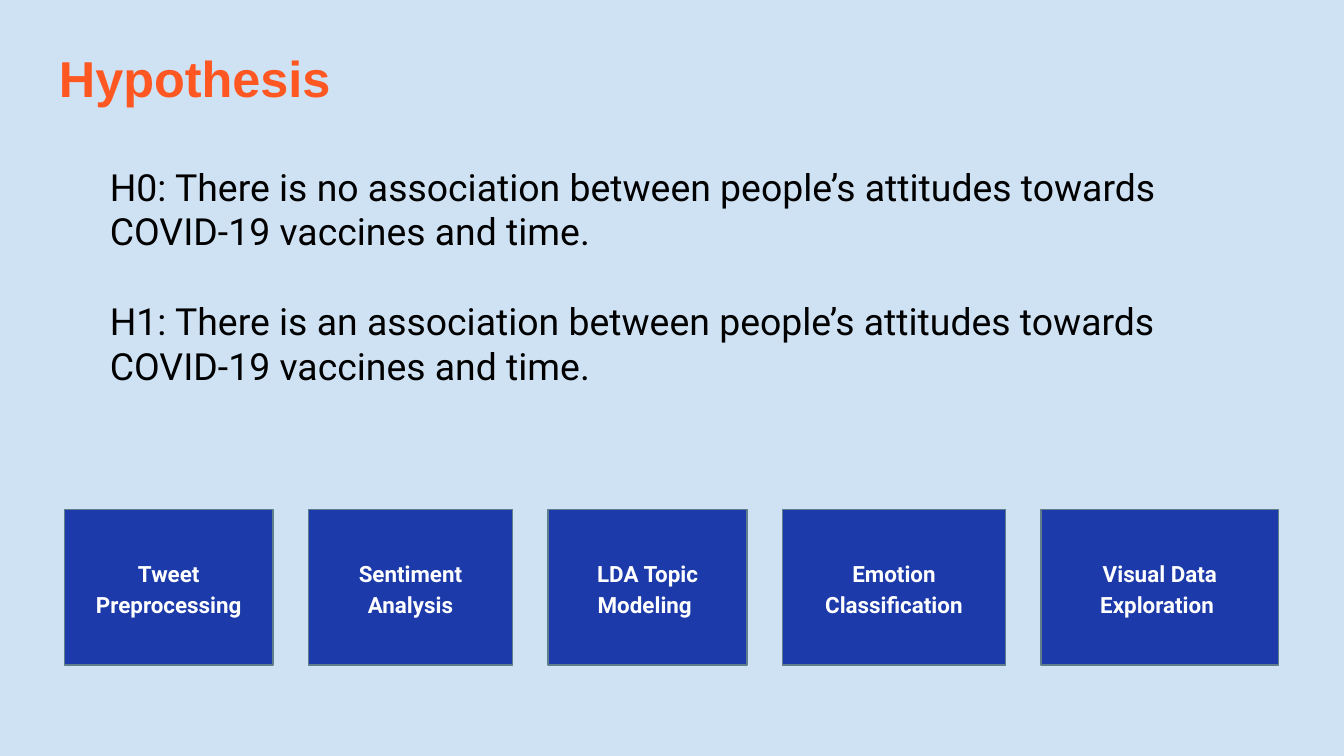
from dataclasses import dataclass

from pptx import Presentation
from pptx.dml.color import RGBColor
from pptx.enum.shapes import MSO_SHAPE
from pptx.enum.text import MSO_ANCHOR, PP_ALIGN
from pptx.util import Pt

RECT = MSO_SHAPE.RECTANGLE
TOP, MIDDLE = MSO_ANCHOR.TOP, MSO_ANCHOR.MIDDLE
LEFT, CENTER = PP_ALIGN.LEFT, PP_ALIGN.CENTER
COLORS = {
    "back": "CFE2F3",
    "title": "FF5722",
    "body": "000000",
    "box": "1C3AA9",
    "edge": "607D8B",
    "label": "FFFFFF",
}
BOX_LEFT, BOX_TOP, BOX_HIGH, BOX_GAP = 34.6, 272.9, 83.5, 19


@dataclass
class Step:
    label: str
    width: float


STEPS = [
    Step("Tweet Preprocessing", 111.6),
    Step("Sentiment Analysis", 109.4),
    Step("LDA Topic Modeling ", 106.6),
    Step("Emotion Classification", 119.5),
    Step("Visual Data Exploration ", 127.4),
]
CLAIMS = [
    "H0: There is no association between people’s attitudes towards COVID-19 vaccines and time.",
    "H1: There is an association between people’s attitudes towards COVID-19 vaccines and time.",
]


def color(name: str) -> RGBColor:
    """Look up a named colour."""
    return RGBColor.from_string(COLORS[name])


def write(shape, *lines: str, size: float, hue: str, font: str = "Roboto",
          bold: bool = False, align=LEFT, anchor=TOP,
          pitch: float = 1.0, gap: float = 0) -> None:
    """Fill a shape with formatted paragraphs."""
    frame = shape.text_frame
    frame.word_wrap = True
    frame.vertical_anchor = anchor
    frame.margin_left = frame.margin_right = Pt(7.2)
    frame.margin_top = frame.margin_bottom = Pt(7.2)
    for index, line in enumerate(lines):
        para = frame.add_paragraph() if index else frame.paragraphs[0]
        para.alignment = align
        para.line_spacing = pitch
        if index:
            para.space_before = Pt(gap)
        run = para.add_run()
        run.text = line
        run.font.size = Pt(size)
        run.font.name = font
        run.font.bold = bold
        run.font.color.rgb = color(hue)


def draw_step(slide, step: Step, left: float) -> None:
    """Draw one labelled step box."""
    box = slide.shapes.add_shape(
        RECT, Pt(left), Pt(BOX_TOP), Pt(step.width), Pt(BOX_HIGH))
    box.shadow.inherit = False
    box.fill.solid()
    box.fill.fore_color.rgb = color("box")
    box.line.color.rgb = color("edge")
    box.line.width = Pt(0.75)
    write(box, step.label, size=12, hue="label", bold=True,
          align=CENTER, anchor=MIDDLE, pitch=1.15)


def main() -> None:
    """Build and save the hypothesis slide."""
    deck = Presentation()
    deck.slide_width, deck.slide_height = Pt(720), Pt(405)
    slide = deck.slides.add_slide(deck.slide_layouts[6])
    slide.background.fill.solid()
    slide.background.fill.fore_color.rgb = color("back")

    left = BOX_LEFT
    for step in STEPS:
        draw_step(slide, step, left)
        left += step.width + BOX_GAP

    title = slide.shapes.add_textbox(Pt(24.5), Pt(18), Pt(671), Pt(45.4))
    write(title, "Hypothesis", size=27, hue="title", font="Arial", bold=True)
    body = slide.shapes.add_textbox(Pt(51.8), Pt(80.6), Pt(617), Pt(136))
    write(body, *CLAIMS, size=20, hue="body", gap=24)
    deck.save("out.pptx")


if __name__ == "__main__":
    main()
